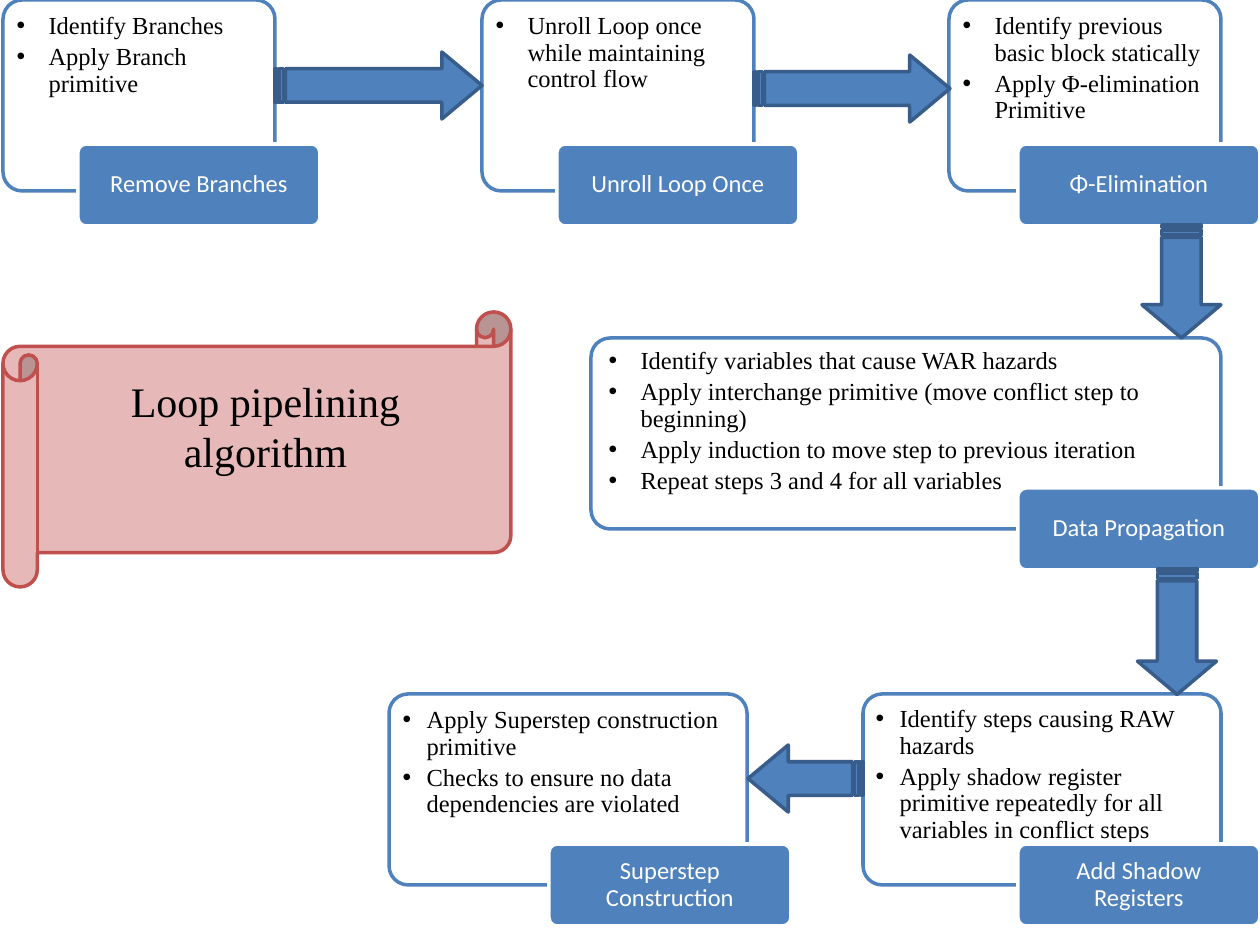
from dataclasses import dataclass

from lxml import etree
from pptx import Presentation
from pptx.dml.color import RGBColor
from pptx.enum.shapes import MSO_SHAPE
from pptx.enum.text import MSO_ANCHOR, PP_ALIGN
from pptx.oxml.ns import qn
from pptx.util import Emu, Pt

ROUNDED = MSO_SHAPE.ROUNDED_RECTANGLE
STRIPED_ARROW = MSO_SHAPE.STRIPED_RIGHT_ARROW
SCROLL = MSO_SHAPE.HORIZONTAL_SCROLL
TOP, MIDDLE = MSO_ANCHOR.TOP, MSO_ANCHOR.MIDDLE
LEFT, CENTER = PP_ALIGN.LEFT, PP_ALIGN.CENTER

EMU_PER_PX = 914400 // 126
SERIF, SANS = "Times New Roman", "Calibri"
BLUE, DARK_BLUE, WHITE, BLACK = "4F81BD", "385D8A", "FFFFFF", "000000"
PINK, RED = "E6B9B8", "C0504D"
CARD_HEIGHT = 191
LABEL_WIDTH, LABEL_HEIGHT = 242, 82


@dataclass
class Step:
    title: str
    points: list[str]
    left: int
    top: int
    width: int
    label_left: int
    label_top: int
    indent: int = 32
    pad_x: int = 8
    pad_y: int = 8


@dataclass
class Arrow:
    """A block arrow, centred on a point; length runs along its direction."""
    center_x: int
    center_y: int
    length: int
    breadth: int
    head: int
    angle: int


STEPS = [
    Step("Remove Branches", ["Identify Branches", "Apply Branch primitive"],
         3, 0, 272, 78, 144),
    Step("Add Shadow Registers",
         ["Identify steps causing RAW hazards",
          "Apply shadow register primitive repeatedly for all variables in conflict steps"],
         863, 694, 358, 1018, 844, indent=24, pad_x=7, pad_y=7),
    Step("Data Propagation",
         ["Identify variables that cause WAR hazards",
          "Apply interchange primitive (move conflict step to beginning)",
          "Apply induction to move step to previous iteration",
          "Repeat steps 3 and 4 for all variables"],
         591, 338, 630, 1018, 488, pad_x=12, pad_y=5),
    Step("Unroll Loop Once", ["Unroll Loop once while maintaining control flow"],
         482, 0, 272, 557, 144),
    Step("Φ-Elimination",
         ["Identify previous basic block statically", "Apply Φ-elimination Primitive"],
         949, 0, 272, 1018, 144),
    Step("Superstep Construction",
         ["Apply Superstep construction primitive",
          "Checks to ensure no data dependencies are violated"],
         389, 694, 358, 549, 844, indent=24),
]

ARROWS = [
    Arrow(378, 85, 207, 67, 40, 0),
    Arrow(852, 88, 196, 67, 40, 0),
    Arrow(1181, 281, 113, 79, 33, 90),
    Arrow(1177, 631, 126, 79, 33, 90),
    Arrow(805, 778, 115, 67, 40, 180),
]


def px(value: int) -> Emu:
    return Emu(value * EMU_PER_PX)


def color(hex_code: str) -> RGBColor:
    return RGBColor.from_string(hex_code)


def add_box(page, kind, left: int, top: int, width: int, height: int,
            fill: str, line: str):
    box = page.shapes.add_shape(kind, px(left), px(top), px(width), px(height))
    box.shadow.inherit = False
    box.fill.solid()
    box.fill.fore_color.rgb = color(fill)
    box.line.color.rgb = color(line)
    box.line.width = Pt(2)
    return box


def set_opacity(box, percent: int) -> None:
    fill_color = box.fill._xPr.find(qn("a:solidFill"))[0]
    etree.SubElement(fill_color, qn("a:alpha"), val=str(percent * 1000))


def add_bullet(para, indent: int) -> None:
    properties = para._p.get_or_add_pPr()
    properties.set("marL", str(px(indent)))
    properties.set("indent", str(-px(indent)))
    etree.SubElement(properties, qn("a:buFont"), typeface="Arial")
    etree.SubElement(properties, qn("a:buChar"), char="•")


def write_text(box, lines: list[str], *, font: str, size: int, ink: str,
               align=CENTER, anchor=MIDDLE, pad=(8, 6, 8, 6),
               spacing: float = 1.0, after: float = 0, indent: int = 0) -> None:
    """Fill a shape with paragraphs; pad is left, top, right, bottom in px."""
    frame = box.text_frame
    frame.word_wrap = True
    frame.vertical_anchor = anchor
    (frame.margin_left, frame.margin_top,
     frame.margin_right, frame.margin_bottom) = map(px, pad)
    for index, line in enumerate(lines):
        para = frame.add_paragraph() if index else frame.paragraphs[0]
        para.alignment = align
        para.line_spacing = spacing
        para.space_after = Pt(after)
        if indent:
            add_bullet(para, indent)
        span = para.add_run()
        span.text = line
        span.font.name = font
        span.font.size = Pt(size)
        span.font.color.rgb = color(ink)


def draw_step(page, step: Step) -> None:
    card = add_box(page, ROUNDED, step.left, step.top, step.width, CARD_HEIGHT,
                   WHITE, BLUE)
    card.adjustments[0] = 0.1
    set_opacity(card, 90)
    write_text(card, step.points, font=SERIF, size=14, ink=BLACK, align=LEFT,
               anchor=TOP, pad=(step.pad_x, step.pad_y, step.pad_x, 8),
               spacing=0.9, after=2.6, indent=step.indent)
    label = add_box(page, ROUNDED, step.label_left, step.label_top,
                    LABEL_WIDTH, LABEL_HEIGHT, BLUE, WHITE)
    label.adjustments[0] = 0.1
    write_text(label, [step.title], font=SANS, size=14, ink=WHITE,
               pad=(10, 8, 10, 8), spacing=0.9, after=6.1)


def draw_arrow(page, arrow: Arrow) -> None:
    shape = add_box(page, STRIPED_ARROW, arrow.center_x - arrow.length // 2,
                    arrow.center_y - arrow.breadth // 2,
                    arrow.length, arrow.breadth, BLUE, DARK_BLUE)
    shape.adjustments[0] = 0.5
    shape.adjustments[1] = round(arrow.head / arrow.breadth, 2)
    shape.rotation = arrow.angle


def draw_title(page) -> None:
    scroll = add_box(page, SCROLL, 3, 312, 508, 275, PINK, RED)
    scroll.adjustments[0] = 0.125
    write_text(scroll, ["Loop pipelining algorithm"], font=SERIF, size=24,
               ink=BLACK, pad=(13, 6, 13, 54))


def main() -> None:
    deck = Presentation()
    deck.slide_width, deck.slide_height = px(1260), px(945)
    page = deck.slides.add_slide(deck.slide_layouts[6])
    for step in STEPS:
        draw_step(page, step)
    for arrow in ARROWS:
        draw_arrow(page, arrow)
    draw_title(page)
    deck.save("out.pptx")


if __name__ == "__main__":
    main()
